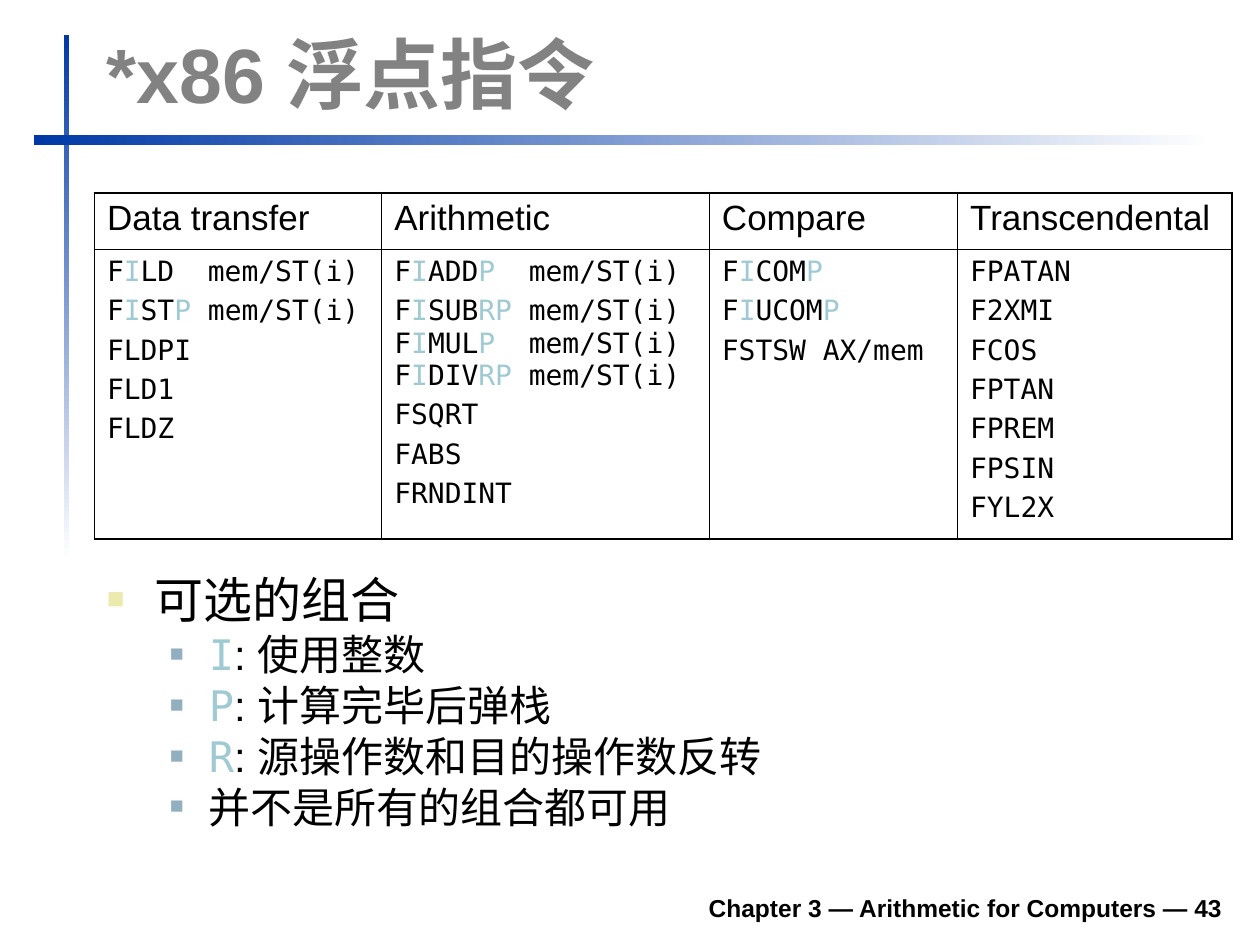
from dataclasses import dataclass

from lxml import etree
from pptx import Presentation
from pptx.dml.color import RGBColor
from pptx.enum.shapes import MSO_SHAPE
from pptx.enum.text import MSO_ANCHOR, MSO_AUTO_SIZE, PP_ALIGN
from pptx.oxml.ns import qn
from pptx.util import Inches, Pt

BLACK = RGBColor(0x00, 0x00, 0x00)
WHITE = RGBColor(0xFF, 0xFF, 0xFF)
BLUE = RGBColor(0x00, 0x39, 0xA6)
GRAY = RGBColor(0x82, 0x82, 0x82)
TEAL = RGBColor(0x9F, 0xCA, 0xD3)
YELLOW = RGBColor(0xEC, 0xEA, 0xAC)
STEEL = RGBColor(0x91, 0xAF, 0xBF)
SANS, MONO = "Arial", "DejaVu Sans Mono"
OUTER, COLUMN_RULE, HEADER_RULE = Pt(1.08), Pt(0.45), Pt(0.75)


@dataclass(frozen=True)
class Rule:
    left: float
    top: float
    width: float
    height: float
    angle: int


@dataclass(frozen=True)
class Column:
    heading: str
    width: float
    instructions: tuple[str, ...]


@dataclass(frozen=True)
class BulletStyle:
    level: int
    margin: float
    hanging: float
    size: int
    before: int
    color: RGBColor
    percent: int


RULES = (
    Rule(0.51, 0.28, 0.04, 4.17, 270),
    Rule(0.27, 1.07, 9.37, 0.08, 0),
)

# Text between bars is an optional letter, shown in teal
COLUMNS = (
    Column("Data transfer", 2.28, (
        "F|I|LD  mem/ST(i)", "F|I|ST|P| mem/ST(i)", "FLDPI", "FLD1", "FLDZ")),
    Column("Arithmetic", 2.6, (
        "F|I|ADD|P|  mem/ST(i)",
        "F|I|SUB|RP| mem/ST(i)\nF|I|MUL|P|  mem/ST(i)\nF|I|DIV|RP| mem/ST(i)",
        "FSQRT", "FABS", "FRNDINT")),
    Column("Compare", 1.97, ("F|I|COM|P|", "F|I|UCOM|P|", "FSTSW AX/mem")),
    Column("Transcendental", 2.18, (
        "FPATAN", "F2XMI", "FCOS", "FPTAN", "FPREM", "FPSIN", "FYL2X")),
)

TOPIC = BulletStyle(0, 0.38, 0.38, 28, 7, YELLOW, 60)
DETAIL = BulletStyle(1, 0.81, 0.31, 24, 6, STEEL, 55)
NOTES = (
    ("可选的组合", TOPIC),
    ("|I|: 使用整数", DETAIL),
    ("|P|: 计算完毕后弹栈", DETAIL),
    ("|R|: 源操作数和目的操作数反转", DETAIL),
    ("并不是所有的组合都可用", DETAIL),
)


def set_font(font, size: int, name: str = SANS, color: RGBColor = BLACK,
             bold: bool = False) -> None:
    font.size, font.name, font.bold = Pt(size), name, bold
    font.color.rgb = color


def add_marked_text(paragraph, text: str, marked_font: str) -> None:
    for number, line in enumerate(text.split("\n")):
        if number:
            paragraph.add_line_break()
        for index, part in enumerate(line.split("|")):
            if part:
                run = paragraph.add_run()
                run.text = part
                if index % 2:
                    run.font.name = marked_font
                    run.font.color.rgb = TEAL


def next_paragraph(frame, index: int):
    return frame.add_paragraph() if index else frame.paragraphs[0]


def add_text_frame(slide, left: float, top: float, width: float, height: float,
                   anchor: MSO_ANCHOR):
    box = slide.shapes.add_textbox(
        Inches(left), Inches(top), Inches(width), Inches(height))
    frame = box.text_frame
    frame.word_wrap = True
    frame.vertical_anchor = anchor
    return frame


def draw_rule(slide, rule: Rule) -> None:
    bar = slide.shapes.add_shape(
        MSO_SHAPE.RECTANGLE, Inches(rule.left), Inches(rule.top),
        Inches(rule.width), Inches(rule.height))
    bar.shadow.inherit = False
    bar.line.fill.background()
    bar.fill.gradient()
    bar.fill.gradient_angle = rule.angle
    for stop, color in zip(bar.fill.gradient_stops, (BLUE, WHITE)):
        stop.color.rgb = color


def set_borders(cell, widths: dict[str, int]) -> None:
    properties = cell._tc.get_or_add_tcPr()
    for index, (side, width) in enumerate(widths.items()):
        line = etree.Element(qn(f"a:ln{side}"), w=str(int(width)))
        fill = etree.SubElement(line, qn("a:solidFill"))
        etree.SubElement(fill, qn("a:srgbClr"), val=str(BLACK))
        properties.insert(index, line)


def fill_cell(cell, lines: tuple[str, ...], size: int, font: str,
              before: int) -> None:
    cell.fill.background()
    for index, line in enumerate(lines):
        paragraph = next_paragraph(cell.text_frame, index)
        paragraph.space_before = Pt(before)
        set_font(paragraph.font, size, font)
        add_marked_text(paragraph, line, font)


def draw_instruction_table(slide) -> None:
    table = slide.shapes.add_table(
        2, len(COLUMNS), Inches(0.75), Inches(1.53),
        Inches(9.03), Inches(2.75)).table
    table.first_row = table.horz_banding = False
    table.rows[0].height, table.rows[1].height = Inches(0.45), Inches(2.3)
    last = len(COLUMNS) - 1
    for index, column in enumerate(COLUMNS):
        table.columns[index].width = Inches(column.width)
        heading, body = table.cell(0, index), table.cell(1, index)
        fill_cell(heading, (column.heading,), 20, SANS, 5)
        fill_cell(body, column.instructions, 16, MONO, 4)
        sides = {"L": COLUMN_RULE if index else OUTER,
                 "R": COLUMN_RULE if index < last else OUTER}
        set_borders(heading, sides | {"T": OUTER, "B": HEADER_RULE})
        set_borders(body, sides | {"T": HEADER_RULE, "B": OUTER})


def add_bullet(paragraph, style: BulletStyle) -> None:
    properties = paragraph._p.get_or_add_pPr()
    properties.set("marL", str(Inches(style.margin)))
    properties.set("indent", str(-Inches(style.hanging)))
    color = etree.SubElement(properties, qn("a:buClr"))
    etree.SubElement(color, qn("a:srgbClr"), val=str(style.color))
    etree.SubElement(properties, qn("a:buSzPct"), val=str(style.percent * 1000))
    etree.SubElement(properties, qn("a:buFont"), typeface=SANS)
    etree.SubElement(properties, qn("a:buChar"), char="■")


def main() -> None:
    deck = Presentation()
    deck.slide_width, deck.slide_height = Inches(10), Inches(7.5)
    slide = deck.slides.add_slide(deck.slide_layouts[6])

    # Fading rules
    for rule in RULES:
        draw_rule(slide, rule)

    # Footer
    footer = add_text_frame(
        slide, 1.85, 6.98, 7.95, 0.39, MSO_ANCHOR.BOTTOM).paragraphs[0]
    footer.text = "Chapter 3 — Arithmetic for Computers — 43"
    footer.alignment = PP_ALIGN.RIGHT
    set_font(footer.font, 14, bold=True)

    # Title
    title_frame = add_text_frame(slide, 0.75, 0.16, 9.03, 0.83, MSO_ANCHOR.BOTTOM)
    title_frame.auto_size = MSO_AUTO_SIZE.SHAPE_TO_FIT_TEXT
    title = title_frame.paragraphs[0]
    title.text = "*x86 浮点指令"
    set_font(title.font, 44, color=GRAY, bold=True)

    # Notes on the optional letters
    notes = add_text_frame(slide, 0.75, 4.56, 9.04, 2.26, MSO_ANCHOR.TOP)
    for index, (text, style) in enumerate(NOTES):
        note = next_paragraph(notes, index)
        note.level = style.level
        note.line_spacing = 0.8
        note.space_before = Pt(style.before)
        add_bullet(note, style)
        set_font(note.font, style.size)
        add_marked_text(note, text, MONO)

    draw_instruction_table(slide)
    deck.save("out.pptx")


if __name__ == "__main__":
    main()
